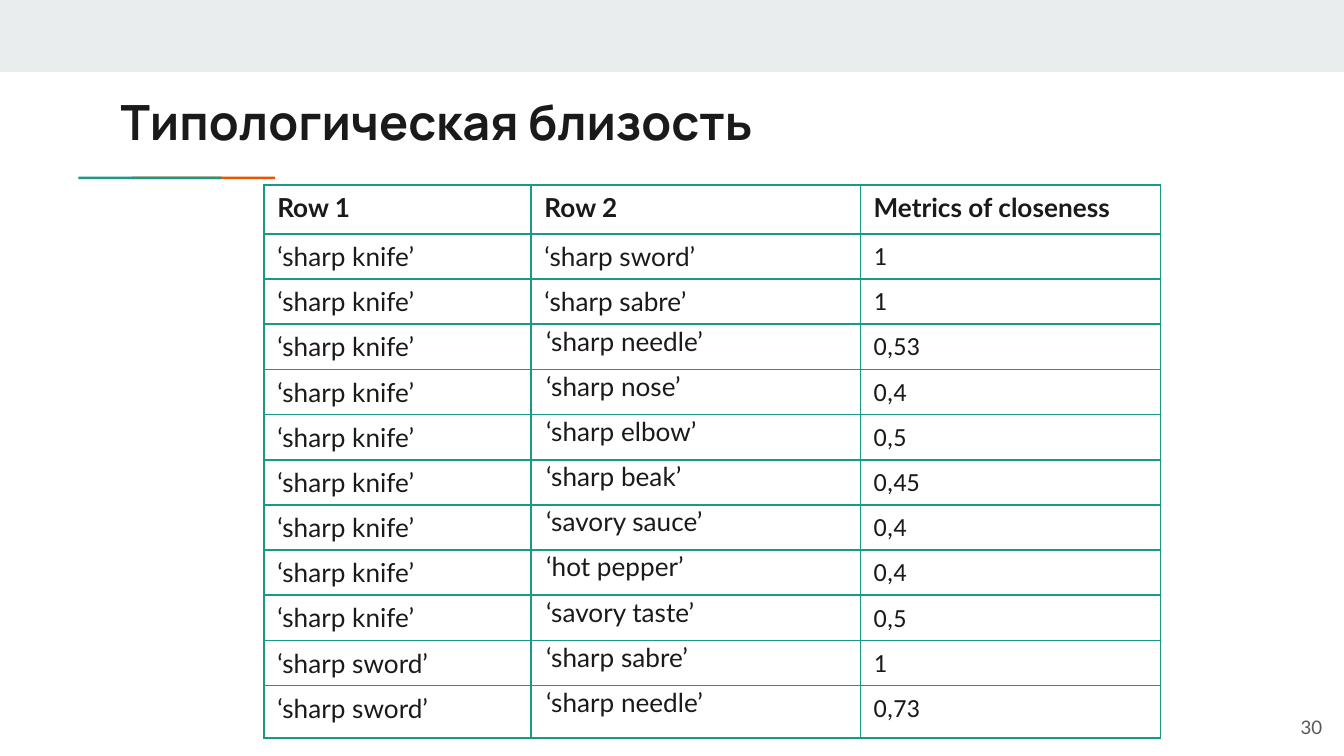
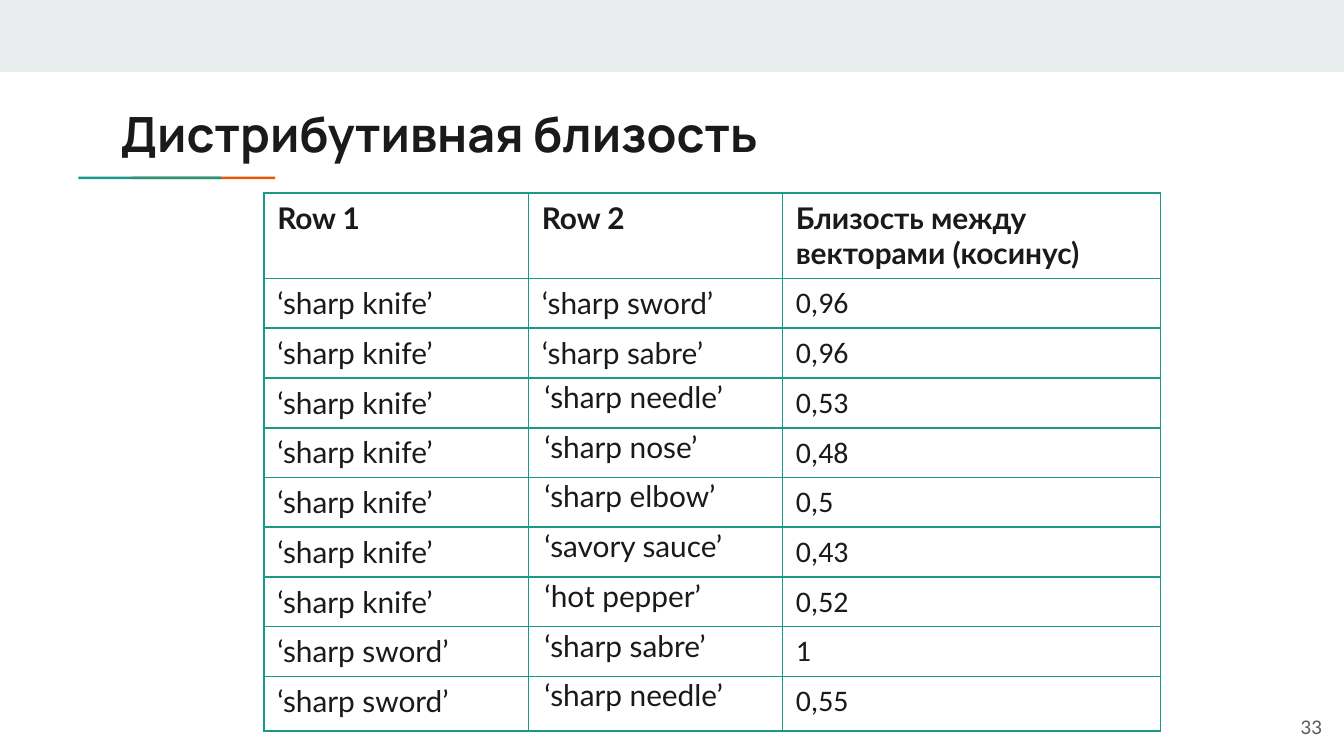
from dataclasses import dataclass

from lxml import etree
from pptx import Presentation
from pptx.dml.color import RGBColor
from pptx.enum.shapes import MSO_SHAPE
from pptx.enum.text import MSO_ANCHOR, PP_ALIGN
from pptx.oxml.ns import qn
from pptx.util import Cm, Pt

RECTANGLE = MSO_SHAPE.RECTANGLE
TOP, MIDDLE = MSO_ANCHOR.TOP, MSO_ANCHOR.MIDDLE
LEFT, RIGHT = PP_ALIGN.LEFT, PP_ALIGN.RIGHT


@dataclass(frozen=True)
class Theme:
    band: str = "E9EDEE"
    teal: str = "1A9988"
    orange: str = "EB5600"
    ink: str = "1A1A1A"
    grey: str = "595959"
    title_font: str = "Manrope"
    body_font: str = "Lato"
    number_font: str = "Calibri"
    title_size: int = 26
    page_number_size: int = 10
    border_width: int = 1


THEME = Theme()
SLIDE_WIDTH, SLIDE_HEIGHT = 25.4, 14.29
TABLE_LEFT = 4.99
BOX_MARGINS = (0.25, 0.25, 0.25, 0.25)
CELL_MARGINS = (0.25, 0.13, 0.25, 0.13)
PLAIN_ROWS = 3

TYPOLOGICAL_ROWS = [
    ("Row 1", "Row 2", "Metrics of closeness"),
    ("‘sharp knife’", "‘sharp sword’", "1"),
    ("‘sharp knife’", "‘sharp sabre’", "1"),
    ("‘sharp knife’", "‘sharp needle’", "0,53"),
    ("‘sharp knife’", "‘sharp nose’", "0,4"),
    ("‘sharp knife’", "‘sharp elbow’", "0,5"),
    ("‘sharp knife’", "‘sharp beak’", "0,45"),
    ("‘sharp knife’", "‘savory sauce’", "0,4"),
    ("‘sharp knife’", "‘hot pepper’", "0,4"),
    ("‘sharp knife’", "‘savory taste’", "0,5"),
    ("‘sharp sword’", "‘sharp sabre’", "1"),
    ("‘sharp sword’", "‘sharp needle’", "0,73"),
]

DISTRIBUTIVE_ROWS = [
    ("Row 1", "Row 2", "Близость между векторами (косинус)"),
    ("‘sharp knife’", "‘sharp sword’", "0,96"),
    ("‘sharp knife’", "‘sharp sabre’", "0,96"),
    ("‘sharp knife’", "‘sharp needle’", "0,53"),
    ("‘sharp knife’", "‘sharp nose’", "0,48"),
    ("‘sharp knife’", "‘sharp elbow’", "0,5"),
    ("‘sharp knife’", "‘savory sauce’", "0,43"),
    ("‘sharp knife’", "‘hot pepper’", "0,52"),
    ("‘sharp sword’", "‘sharp sabre’", "1"),
    ("‘sharp sword’", "‘sharp needle’", "0,55"),
]


def write_text(frame, text, *, size, font=THEME.body_font, color=THEME.ink,
               bold=False, align=LEFT):
    para = frame.paragraphs[0]
    para.alignment = align
    span = para.add_run()
    span.text = text
    span.font.name = font
    span.font.size = Pt(size)
    span.font.bold = bold
    span.font.color.rgb = RGBColor.from_string(color)


def set_margins(target, margins):
    left, top, right, bottom = map(Cm, margins)
    target.margin_left, target.margin_top = left, top
    target.margin_right, target.margin_bottom = right, bottom


def add_text(page, text, position, anchor=TOP, **text_format):
    box = page.shapes.add_textbox(*map(Cm, position))
    frame = box.text_frame
    frame.word_wrap = True
    frame.vertical_anchor = anchor
    set_margins(frame, BOX_MARGINS)
    write_text(frame, text, **text_format)


def add_bar(page, position, color):
    bar = page.shapes.add_shape(RECTANGLE, *map(Cm, position))
    bar.shadow.inherit = False
    bar.fill.solid()
    bar.fill.fore_color.rgb = RGBColor.from_string(color)
    bar.line.fill.background()


def add_borders(cell):
    properties = cell._tc.get_or_add_tcPr()
    for side in ("lnL", "lnR", "lnT", "lnB"):
        line = etree.SubElement(properties, qn(f"a:{side}"),
                                w=str(Pt(THEME.border_width)))
        fill = etree.SubElement(line, qn("a:solidFill"))
        etree.SubElement(fill, qn("a:srgbClr"), val=THEME.teal)


def add_closeness_table(page, rows, *, top, widths, header_height, row_height,
                        last_height, raised_indent, size):
    heights = [header_height] + [row_height] * (len(rows) - 2) + [last_height]
    raised_margins = (raised_indent, 0.02, 0.03, 0)
    table = page.shapes.add_table(
        len(rows), len(widths), Cm(TABLE_LEFT), Cm(top),
        Cm(sum(widths)), Cm(sum(heights))).table
    table.first_row = False
    table.horz_banding = False
    for column, width in zip(table.columns, widths):
        column.width = Cm(width)
    for row_index, (values, height) in enumerate(zip(rows, heights)):
        table.rows[row_index].height = Cm(height)
        for column_index, value in enumerate(values):
            cell = table.cell(row_index, column_index)
            header = row_index == 0
            raised = column_index == 1 and row_index >= PLAIN_ROWS
            number = column_index == 2 and not header
            set_margins(cell, raised_margins if raised else CELL_MARGINS)
            add_borders(cell)
            cell.fill.background()
            write_text(cell.text_frame, value, size=size, bold=header,
                       font=THEME.number_font if number else THEME.body_font)


def add_page(deck, title, title_top):
    page = deck.slides.add_slide(deck.slide_layouts[6])
    add_bar(page, (0, 0, SLIDE_WIDTH, 1.36), THEME.band)
    for left, color in ((2.49, THEME.orange), (1.48, THEME.teal)):
        add_bar(page, (left, 3.34, 2.71, 0.05), color)
    add_text(page, title, (2.03, title_top, 21.36, 1.5),
             size=THEME.title_size, font=THEME.title_font, bold=True)
    return page


def add_page_number(page, number):
    add_text(page, str(number), (23.72, 13.19, 1.52, 1.09), anchor=MIDDLE,
             size=THEME.page_number_size, color=THEME.grey, align=RIGHT)


def main():
    deck = Presentation()
    deck.slide_width, deck.slide_height = Cm(SLIDE_WIDTH), Cm(SLIDE_HEIGHT)

    typological = add_page(deck, "Типологическая близость", 1.49)
    add_closeness_table(typological, TYPOLOGICAL_ROWS, top=3.5,
                        widths=(5.05, 6.22, 5.67), header_height=0.92,
                        row_height=0.85, last_height=0.99,
                        raised_indent=0.28, size=14)
    add_page_number(typological, 30)

    distributive = add_page(deck, "Дистрибутивная близость", 1.71)
    add_closeness_table(distributive, DISTRIBUTIVE_ROWS, top=3.65,
                        widths=(5, 4.8, 7.14), header_height=1.6,
                        row_height=0.94, last_height=1.03,
                        raised_indent=0.3, size=16)
    add_page_number(distributive, 33)

    deck.save("out.pptx")


if __name__ == "__main__":
    main()
